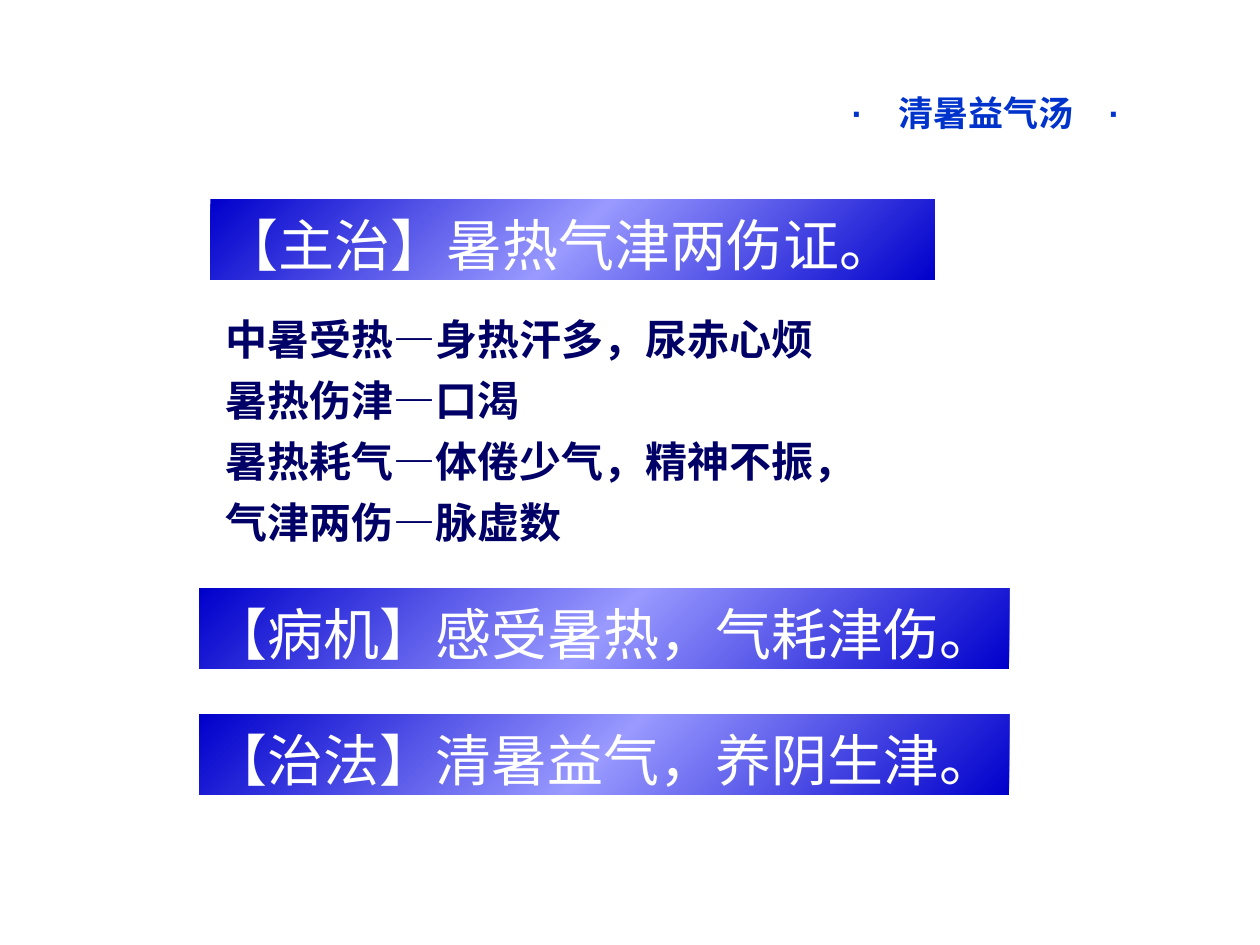
from copy import deepcopy
from typing import NamedTuple

from pptx import Presentation
from pptx import util as u
from pptx.dml.color import RGBColor
from pptx.enum import shapes, text
from pptx.oxml import ns

CJK, CJK_BOLD = "Noto Sans CJK JP", "Noto Sans CJK SC"
BANNER_STOPS = ((0, "0000CC"), (0.5, "9999FF"), (1, "0000CC"))


class Banner(NamedTuple):
    wording: str
    left: float
    top: float
    width: float


BANNERS = (
    Banner("【治法】清暑益气，养阴生津。", 1.58, 5.67, 6.43),
    Banner("【病机】感受暑热，气耗津伤。", 1.58, 4.67, 6.43),
    Banner("【主治】暑热气津两伤证。", 1.67, 1.58, 5.75),
)
SYMPTOMS = (
    "中暑受热—身热汗多，尿赤心烦",
    "暑热伤津—口渴",
    "暑热耗气—体倦少气，精神不振，",
    "气津两伤—脉虚数",
)


def rgb(value: str) -> RGBColor:
    return RGBColor.from_string(value)


def place(shape, left: float, top: float, width: float, height: float) -> None:
    shape.left, shape.top = u.Inches(left), u.Inches(top)
    shape.width, shape.height = u.Inches(width), u.Inches(height)


def write(shape, *lines: str, size: float, font: str, color: str, bold=False,
          align=text.PP_ALIGN.LEFT, anchor=text.MSO_ANCHOR.TOP, inset_top=0.05,
          inset_bottom=0.05, leading=None, gap=0, indent=0) -> None:
    """Fill a shape with one paragraph per line."""
    frame = shape.text_frame
    frame.word_wrap = True
    frame.auto_size = text.MSO_AUTO_SIZE.NONE
    frame.vertical_anchor = anchor
    frame.margin_top, frame.margin_bottom = u.Inches(inset_top), u.Inches(inset_bottom)
    frame.margin_right = u.Inches(0.05)
    for index, line in enumerate(lines):
        paragraph = frame.add_paragraph() if index else frame.paragraphs[0]
        paragraph.alignment = align
        paragraph.space_before = u.Pt(gap if index else 0)
        if leading:
            paragraph.line_spacing = u.Pt(leading)
        props = paragraph._p.get_or_add_pPr()
        props.set("marL", str(u.Inches(indent)))
        props.set("indent", "0")
        props.append(props.makeelement(ns.qn("a:buNone"), {}))
        run = paragraph.add_run()
        run.text = line
        run.font.size, run.font.bold = u.Pt(size), bold
        run.font.name, run.font.color.rgb = font, rgb(color)
        east_asian = font if font != "Arial" else CJK_BOLD
        latin = run._r.rPr.find(ns.qn("a:latin"))
        latin.addnext(latin.makeelement(ns.qn("a:ea"), {"typeface": east_asian}))


def fill_gradient(shape) -> None:
    """Dark corners with a light band through the middle."""
    fill = shape.fill
    fill.gradient()
    fill.gradient_angle = 135
    stop_list = shape._element.spPr.find(".//" + ns.qn("a:gsLst"))
    stop_list.insert(1, deepcopy(stop_list[0]))
    for stop, (position, color) in zip(fill.gradient_stops, BANNER_STOPS):
        stop.position, stop.color.rgb = position, rgb(color)


def draw_banner(slide, banner: Banner) -> None:
    bar = slide.shapes.add_shape(
        shapes.MSO_SHAPE.RECTANGLE, u.Inches(banner.left), u.Inches(banner.top),
        u.Inches(banner.width), u.Inches(0.64))
    bar.shadow.inherit = False
    bar.line.fill.background()
    fill_gradient(bar)
    write(bar, banner.wording, size=32, font=CJK, color="FFFFFF",
          inset_top=0.08, inset_bottom=0.02, leading=39)


def main() -> None:
    prs = Presentation()
    prs.slide_width, prs.slide_height = u.Inches(10), u.Inches(7.5)
    slide = prs.slides.add_slide(prs.slide_layouts[1])

    # Formula name, top right
    formula = slide.shapes.title
    place(formula, 6.43, 0.67, 2.74, 0.44)
    write(formula, "·\u3000清暑益气汤\u3000·".replace("\u3000", "　"), size=20,
          font="Arial", color="0033CC", bold=True, align=text.PP_ALIGN.CENTER,
          anchor=text.MSO_ANCHOR.MIDDLE)

    # Symptoms explained
    symptoms = slide.placeholders[1]
    place(symptoms, 1.38, 2.41, 6.74, 2)
    write(symptoms, *SYMPTOMS, size=24, font=CJK_BOLD, color="000066", bold=True,
          inset_top=0.08, leading=28.8, gap=6, indent=0.31)

    # Indication, mechanism and treatment
    for banner in BANNERS:
        draw_banner(slide, banner)

    prs.save("out.pptx")


if __name__ == "__main__":
    main()
